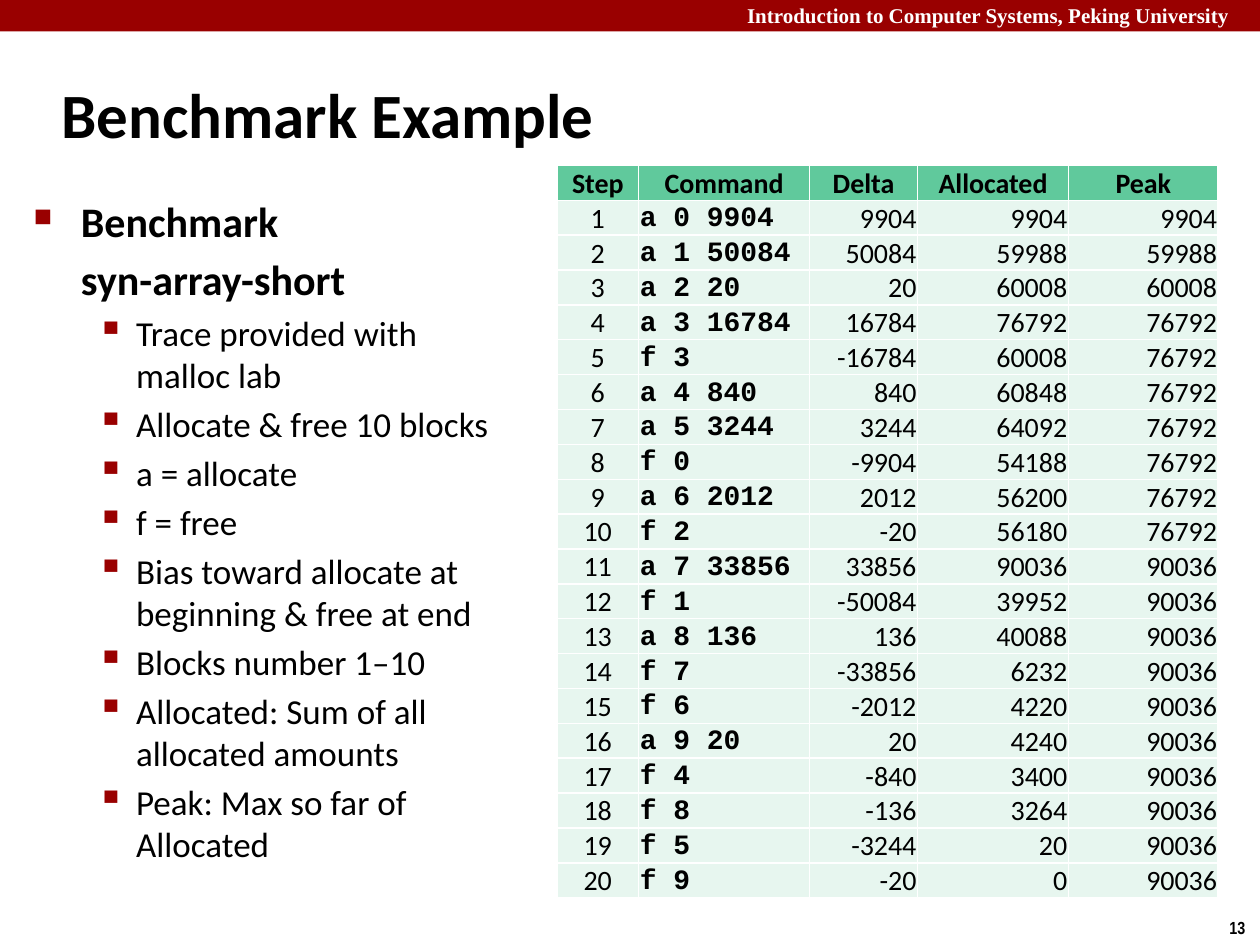
from dataclasses import dataclass
from itertools import accumulate

from lxml.etree import SubElement
from pptx import Presentation
from pptx.dml.color import RGBColor
from pptx.enum.shapes import MSO_SHAPE
from pptx.enum.text import MSO_ANCHOR as Anchor, PP_ALIGN as Align
from pptx.oxml.ns import qn
from pptx.util import Pt

COLORS = {
    "black": "000000", "white": "FFFFFF", "red": "990000",
    "header": "60C99C", "row": "E7F6EF",
}


@dataclass
class Style:
    size: float
    font: str = "Calibri"
    bold: bool = False
    color: str = "black"


@dataclass
class Bullet:
    """Outline level: hanging indent, spacing and optional bullet mark."""
    style: Style
    margin: float
    hang: float
    mark: str = ""
    percent: int = 100


@dataclass
class Column:
    name: str
    width: float
    align: Align
    style: Style


def rgb(name: str) -> RGBColor:
    return RGBColor.from_string(COLORS[name])


def set_attributes(target, values: dict) -> None:
    for name, value in values.items():
        setattr(target, name, value)


def write(paragraph, text: str, style: Style, align: Align = Align.LEFT) -> None:
    paragraph.alignment = align
    run = paragraph.add_run()
    run.text = text
    set_attributes(run.font, {"name": style.font, "size": Pt(style.size), "bold": style.bold})
    run.font.color.rgb = rgb(style.color)


def add_text(slide, box: tuple, wrap: bool = True):
    frame = slide.shapes.add_textbox(*map(Pt, box)).text_frame
    frame.word_wrap = wrap
    return frame


def write_bullet(paragraph, text: str, level: Bullet) -> None:
    write(paragraph, text, level.style)
    paragraph.space_before = Pt(level.style.size * 0.2)
    properties = paragraph._p.get_or_add_pPr()
    properties.set("marL", str(Pt(level.margin)))
    properties.set("indent", str(Pt(-level.hang)))
    if level.mark:
        color = SubElement(properties, qn("a:buClr"))
        SubElement(color, qn("a:srgbClr"), val=COLORS["red"])
        SubElement(properties, qn("a:buSzPct"), val=str(level.percent * 1000))
        SubElement(properties, qn("a:buChar"), char=level.mark)
    else:
        SubElement(properties, qn("a:buNone"))


def fill_cell(cell, text: str, style: Style, align: Align, fill: str) -> None:
    inset = Pt(0.72)
    set_attributes(cell, {
        "margin_left": inset, "margin_right": inset, "margin_top": inset,
        "margin_bottom": 0, "vertical_anchor": Anchor.BOTTOM,
    })
    write(cell.text_frame.paragraphs[0], text, style, align)
    properties = cell._tc.get_or_add_tcPr()
    for side in ("lnL", "lnR", "lnT", "lnB"):
        line = SubElement(properties, qn(f"a:{side}"), w=str(Pt(1)))
        SubElement(SubElement(line, qn("a:solidFill")), qn("a:srgbClr"), val=COLORS["white"])
    cell.fill.solid()
    cell.fill.fore_color.rgb = rgb(fill)


def trace_rows(commands: list[str]) -> list[tuple]:
    """Work out delta, running total and peak for each allocate or free."""
    sizes, deltas = {}, []
    for command in commands:
        action, block, *size = command.split()
        if action == "a":
            sizes[block] = int(size[0])
        deltas.append(sizes[block] if action == "a" else -sizes[block])
    allocated = list(accumulate(deltas))
    steps = range(1, len(commands) + 1)
    return list(zip(steps, commands, deltas, allocated, accumulate(allocated, max)))


def add_trace_table(slide, columns: list[Column], rows: list[tuple], box: tuple) -> None:
    shape = slide.shapes.add_table(len(rows) + 1, len(columns), *map(Pt, box))
    table = shape.table
    for row in table.rows:
        row.height = Pt(15.84)
    for index, column in enumerate(columns):
        table.columns[index].width = Pt(column.width)
        fill_cell(table.cell(0, index), column.name, HEADING, Align.CENTER, "header")
        for number, values in enumerate(rows, start=1):
            fill_cell(table.cell(number, index), str(values[index]),
                      column.style, column.align, "row")
    shape.height = Pt(box[3])


HEADING = Style(16, bold=True)
NUMBER = Style(16)
CODE = Style(16, "Courier New", True)

COLUMNS = [
    Column("Step", 46.8, Align.CENTER, NUMBER),
    Column("Command", 97.6, Align.LEFT, CODE),
    Column("Delta", 61.8, Align.RIGHT, NUMBER),
    Column("Allocated", 86.2, Align.RIGHT, NUMBER),
    Column("Peak", 85.6, Align.RIGHT, NUMBER),
]

COMMANDS = [
    "a 0 9904", "a 1 50084", "a 2 20", "a 3 16784", "f 3",
    "a 4 840", "a 5 3244", "f 0", "a 6 2012", "f 2",
    "a 7 33856", "f 1", "a 8 136", "f 7", "f 6",
    "a 9 20", "f 4", "f 8", "f 5", "f 9",
]

TOPIC = Bullet(Style(24, bold=True), 27, 27, "■", 60)
TOPIC_NAME = Bullet(Style(24, bold=True), 27, 0)
DETAIL = Bullet(Style(20), 58.5, 22.5, "▪", 110)

DETAILS = [
    "Trace provided with malloc lab",
    "Allocate & free 10 blocks",
    "a = allocate",
    "f = free",
    "Bias toward allocate at beginning & free at end",
    "Blocks number 1–10",
    "Allocated: Sum of all allocated amounts",
    "Peak: Max so far of Allocated",
]


def main() -> None:
    presentation = Presentation()
    set_attributes(presentation, {"slide_width": Pt(720), "slide_height": Pt(540)})
    slide = presentation.slides.add_slide(presentation.slide_layouts[5])

    # Course banner and page number
    banner = slide.shapes.add_shape(MSO_SHAPE.RECTANGLE, 0, 0, Pt(720), Pt(18))
    banner.shadow.inherit = False
    banner.fill.solid()
    banner.fill.fore_color.rgb = rgb("red")
    banner.line.fill.background()
    course = add_text(slide, (419.8, -2, 305.2, 21.8))
    write(course.paragraphs[0], "Introduction to Computer Systems, Peking University",
          Style(12, "Times New Roman", True, "white"))
    page = add_text(slide, (695.5, 520.5, 24.5, 19.4), wrap=False)
    write(page.paragraphs[0], "13", Style(10, "Arial Narrow", True))

    # Title
    title = slide.shapes.title
    set_attributes(title, {"left": Pt(28), "top": Pt(34.5), "width": Pt(597.6), "height": Pt(60)})
    title.text_frame.vertical_anchor = Anchor.MIDDLE
    write(title.text_frame.paragraphs[0], "Benchmark Example", Style(36, bold=True))

    # Benchmark notes
    notes = add_text(slide, (12.2, 108, 280.8, 391.7))
    items = [("Benchmark", TOPIC), ("syn-array-short", TOPIC_NAME)]
    items += [(text, DETAIL) for text in DETAILS]
    for index, (text, level) in enumerate(items):
        paragraph = notes.add_paragraph() if index else notes.paragraphs[0]
        paragraph.level = int(level is DETAIL)
        write_bullet(paragraph, text, level)

    # Allocation trace
    add_trace_table(slide, COLUMNS, trace_rows(COMMANDS), (318.2, 94.5, 378, 419))

    presentation.save("out.pptx")


if __name__ == "__main__":
    main()
